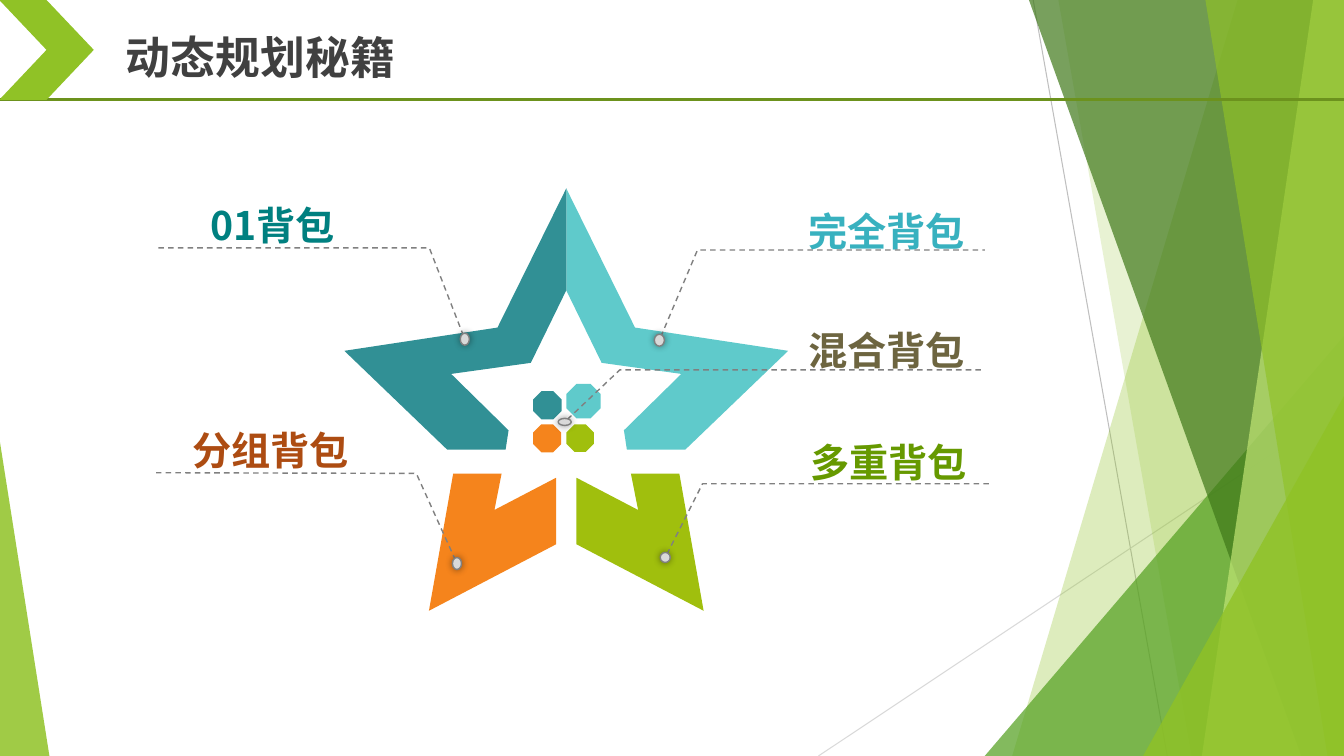
from lxml.etree import SubElement
from pptx import Presentation
from pptx.dml.color import RGBColor
from pptx.enum.dml import MSO_LINE
from pptx.enum.shapes import MSO_CONNECTOR, MSO_SHAPE as Preset
from pptx.enum.text import MSO_ANCHOR, MSO_AUTO_SIZE, PP_ALIGN
from pptx.oxml.ns import qn
from pptx.util import Pt

WIDTH, HEIGHT = 960, 540
FONT = "Noto Sans CJK SC"
STAR_AXIS = 404.5
TEAL, AQUA, ORANGE, LIME = "319095", "5FCACB", "F5841C", "A0BF0D"
LEAF = "90C226"

BANDS = [
    (884, 723, LEAF, 30),
    (756, 851, LEAF, 20),
    (735, 929.5, "3F7819", 70),
    (938, 858.5, "C0E474", 70),
    (861, 948.2, LEAF, 65),
]
STAR_ARM = [(453.6, 234), (404.5, 134.6), (404.5, 207.4), (429.8, 259.2), (486.7, 267.1),
            (445.7, 307.4), (447.8, 321.1), (489.6, 321.1), (563, 250.6)]
STAR_LEG = [(411.8, 341.3), (411.8, 388.8), (502.6, 436.3), (485.3, 338.4),
            (450.7, 338.4), (455.8, 364.3)]
OCTAGONS = [
    (380.9, 279.4, 20.2, TEAL),
    (404.6, 274.3, 24.5, AQUA),
    (380.9, 303.1, 20, ORANGE),
    (404.6, 303.1, 19.6, LIME),
]
LABELS = [
    ("完全背包", 570.2, 127.4, "38B1BF"),
    ("01背包", 143.3, 123.8, "008080"),
    ("混合背包", 570.2, 212.4, "6D6540"),
    ("分组背包", 130.3, 284.4, "AD4C12"),
    ("多重背包", 571.7, 293, "669900"),
]
CALLOUTS = [
    ([(332, 242.3), (306.7, 177.1), (111.6, 177.1)], 6.5, 8.6),
    ([(471, 243), (498.2, 178.6), (703.4, 178.6)], 7.2, 8.6),
    ([(403.4, 301.4), (442.8, 264.2), (703.4, 264.2)], 9.4, 5),
    ([(326.4, 402.5), (297.4, 338.2), (111.6, 337.7)], 6.5, 8.6),
    ([(475.2, 398.2), (501.8, 345.6), (707, 345.6)], 7.2, 7.2),
]


def color(hex_text):
    return RGBColor.from_string(hex_text)


def paint(shape, fill, opacity=100):
    shape.shadow.inherit = False
    shape.line.fill.background()
    shape.fill.solid()
    shape.fill.fore_color.rgb = color(fill)
    if opacity < 100:
        tone = shape.fill._xPr.find(qn("a:solidFill"))[0]
        SubElement(tone, qn("a:alpha"), val=str(opacity * 1000))


def outline(shape, tint, width):
    shape.line.color.rgb = color(tint)
    shape.line.width = Pt(width)


def add_preset(page, kind, left, top, width, height, fill, opacity=100):
    shape = page.shapes.add_shape(kind, Pt(left), Pt(top), Pt(width), Pt(height))
    paint(shape, fill, opacity)
    return shape


def add_corner(page, left, top, width, apex, fill, opacity):
    corner = add_preset(page, Preset.ISOSCELES_TRIANGLE, left, top, width, HEIGHT - top,
                        fill, opacity)
    corner.adjustments[0] = apex


def add_free(page, points, close=True):
    corners = [(Pt(x), Pt(y)) for x, y in points]
    builder = page.shapes.build_freeform(*corners[0], scale=1.0)
    builder.add_line_segments(corners[1:], close=close)
    return builder.convert_to_shape()


def add_line(page, start, end, tint, width):
    ends = [Pt(value) for value in (*start, *end)]
    line = page.shapes.add_connector(MSO_CONNECTOR.STRAIGHT, *ends)
    outline(line, tint, width)
    SubElement(line._element.spPr, qn("a:effectLst"))


def write(para, text, size, tint):
    span = para.add_run()
    span.text = text
    span.font.size = Pt(size)
    span.font.bold = True
    span.font.name = FONT
    span.font.color.rgb = color(tint)
    SubElement(span._r.get_or_add_rPr(), qn("a:ea"), typeface=FONT)


def add_title(page, text):
    title = page.shapes.title
    title.left, title.top, title.width, title.height = Pt(82.8), Pt(17.3), Pt(311.8), Pt(46)
    frame = title.text_frame
    frame.auto_size = MSO_AUTO_SIZE.NONE
    frame.vertical_anchor = MSO_ANCHOR.TOP
    para = frame.paragraphs[0]
    para.alignment = PP_ALIGN.LEFT
    write(para, text, 32, "404040")


def add_label(page, text, left, top, tint):
    box = page.shapes.add_textbox(Pt(left), Pt(top), Pt(180), Pt(52))
    box.text_frame.word_wrap = True
    para = box.text_frame.paragraphs[0]
    para.alignment = PP_ALIGN.JUSTIFY
    para.line_spacing = 1.5
    write(para, text, 28, tint)


def add_callout(page, points, dot_width, dot_height):
    leader = add_free(page, points, close=False)
    leader.shadow.inherit = False
    leader.fill.background()
    outline(leader, "808080", 1)
    leader.line.dash_style = MSO_LINE.DASH
    SubElement(leader.line._get_or_add_ln(), qn("a:headEnd"), type="oval")

    x, y = points[0]
    dot = add_preset(page, Preset.OVAL, x - dot_width / 2, y - dot_height / 2,
                     dot_width, dot_height, "D9D9D9")
    outline(dot, "808080", 1)
    effects = dot._element.spPr.find(qn("a:effectLst"))
    glow = SubElement(effects, qn("a:outerShdw"), blurRad=str(Pt(5)), algn="ctr", rotWithShape="0")
    tone = SubElement(glow, qn("a:srgbClr"), val="000000")
    SubElement(tone, qn("a:alpha"), val="40000")


def add_backdrop(page):
    add_line(page, (738, 0), (833.8, HEIGHT), "BFBFBF", 0.75)
    add_line(page, (WIDTH, 290), (584.6, HEIGHT), "D9D9D9", 0.75)
    for index, (top_x, bottom_x, fill, opacity) in enumerate(BANDS):
        if index == 2:
            add_corner(page, 703.4, 240, 256.6, 1, "54A021", 72)
        band = add_free(page, [(top_x, 0), (WIDTH, 0), (WIDTH, HEIGHT), (bottom_x, HEIGHT)])
        paint(band, fill, opacity)
    add_corner(page, 816.5, 283, 143.5, 1, LEAF, 80)
    add_corner(page, 0, 316, 35.3, 0, LEAF, 85)


def add_star(page):
    for points, right_fill, left_fill in ((STAR_LEG, LIME, ORANGE), (STAR_ARM, AQUA, TEAL)):
        mirrored = [(2 * STAR_AXIS - x, y) for x, y in points]
        paint(add_free(page, points), right_fill)
        paint(add_free(page, mirrored), left_fill)
    for left, top, size, fill in OCTAGONS:
        add_preset(page, Preset.OCTAGON, left, top, size, size, fill)


def main():
    deck = Presentation()
    deck.slide_width, deck.slide_height = Pt(WIDTH), Pt(HEIGHT)
    page = deck.slides.add_slide(deck.slide_layouts[5])
    add_backdrop(page)
    add_line(page, (0, 71.3), (WIDTH, 71.3), "6C921D", 2.25)
    add_preset(page, Preset.CHEVRON, -0.5, 0, 67.5, 71.3, LEAF)
    add_title(page, "动态规划秘籍")
    add_star(page)
    for label in LABELS:
        add_label(page, *label)
    for callout in CALLOUTS:
        add_callout(page, *callout)
    deck.save("out.pptx")


if __name__ == "__main__":
    main()
